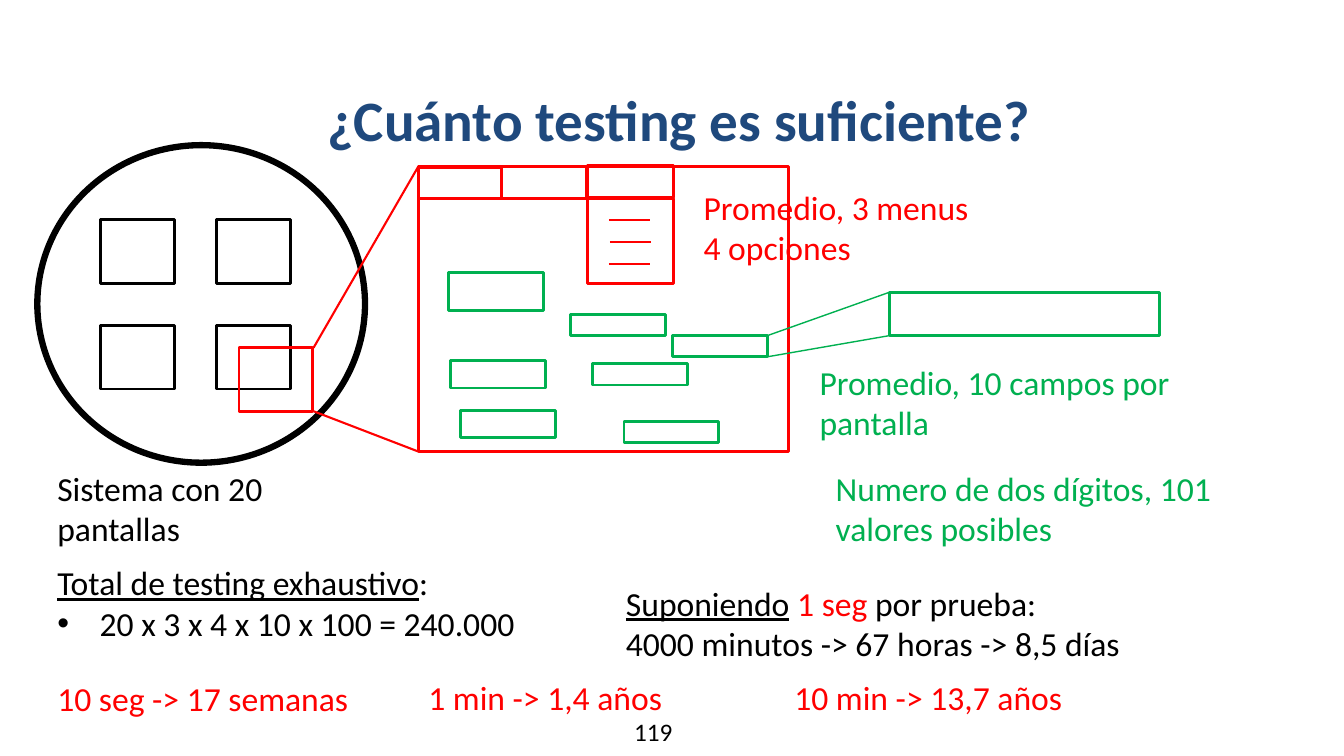
from lxml import etree
from pptx import Presentation
from pptx.dml.color import RGBColor
from pptx.enum.shapes import MSO_CONNECTOR, MSO_SHAPE
from pptx.enum.text import MSO_ANCHOR, MSO_AUTO_SIZE, PP_ALIGN
from pptx.oxml.ns import qn
from pptx.util import Inches, Pt

RECT = MSO_SHAPE.RECTANGLE
OVAL = MSO_SHAPE.OVAL
STRAIGHT = MSO_CONNECTOR.STRAIGHT
CENTER = PP_ALIGN.CENTER
TOP = MSO_ANCHOR.TOP
NO_FIT = MSO_AUTO_SIZE.NONE

FONT = "Calibri"
COLORS = {"black": "000000", "red": "FF0000", "green": "00B050", "navy": "1F497D"}
SCREEN_W, SCREEN_H = 0.73, 0.63
FIELD_W = 0.94


def rgb(color):
    return RGBColor.from_string(COLORS[color])


def style_font(font, size, color):
    font.name = FONT
    font.size = Pt(size)
    font.color.rgb = rgb(color)


def add_title(slide, text):
    title = slide.shapes.title
    title.left, title.top = Inches(0.24), Inches(0.84)
    title.width, title.height = Inches(13.12), Inches(0.47)
    frame = title.text_frame
    frame.text = text
    frame.auto_size = NO_FIT
    frame.vertical_anchor = TOP
    frame.margin_left = frame.margin_right = 0
    frame.margin_top = frame.margin_bottom = 0
    frame.paragraphs[0].alignment = CENTER
    font = frame.paragraphs[0].runs[0].font
    style_font(font, 40.8, "navy")
    font.bold = True


def add_outline(slide, x, y, w, h, color, weight=2, kind=RECT):
    outline = slide.shapes.add_shape(kind, Inches(x), Inches(y), Inches(w), Inches(h))
    outline.shadow.inherit = False
    outline.fill.background()
    outline.line.color.rgb = rgb(color)
    outline.line.width = Pt(weight)


def add_line(slide, x1, y1, x2, y2, color, weight=1.5):
    line = slide.shapes.add_connector(
        STRAIGHT, Inches(x1), Inches(y1), Inches(x2), Inches(y2))
    line.line.color.rgb = rgb(color)
    line.line.width = Pt(weight)
    etree.SubElement(line._element.spPr, qn("a:effectLst"))


def add_text(slide, x, y, w, h, paragraphs, color="black", size=24, wrap=True):
    """Each paragraph is a string or a list of (text, color, underline) runs."""
    box = slide.shapes.add_textbox(Inches(x), Inches(y), Inches(w), Inches(h))
    frame = box.text_frame
    frame.word_wrap = wrap
    for index, content in enumerate(paragraphs):
        paragraph = frame.paragraphs[0] if index == 0 else frame.add_paragraph()
        runs = [(content, color, False)] if isinstance(content, str) else content
        for text, run_color, underline in runs:
            run = paragraph.add_run()
            run.text = text
            style_font(run.font, size, run_color)
            run.font.underline = underline
    return frame


def add_bullet(paragraph, indent):
    props = paragraph._p.get_or_add_pPr()
    props.set("marL", str(Inches(indent)))
    props.set("indent", str(-Inches(indent)))
    etree.SubElement(props, qn("a:buFont")).set("typeface", "Arial")
    etree.SubElement(props, qn("a:buChar")).set("char", "•")


def add_system(slide):
    add_outline(slide, 0.37, 1.44, 3.25, 3.15, "black", 4.5, OVAL)
    for y in (2.18, 3.23):
        for x in (1, 2.15):
            add_outline(slide, x, y, SCREEN_W, SCREEN_H, "black")
    add_text(slide, 0.47, 4.59, 2.64, 0.91, ["Sistema con 20 pantallas"])


def add_screen(slide):
    # Selected screen and its enlargement
    add_outline(slide, 2.37, 3.45, SCREEN_W, SCREEN_H, "red")
    add_outline(slide, 4.15, 1.65, 3.67, 2.83, "red")
    add_line(slide, 3.11, 3.45, 4.15, 1.65, "red")
    add_line(slide, 3.11, 4.08, 4.15, 4.48, "red")

    # Menu bar and open menu with its options
    for x, y, w, h in ((4.15, 1.66, 0.83, 0.31), (4.97, 1.65, 0.85, 0.32),
                       (5.83, 1.64, 0.85, 0.32), (5.83, 1.97, 0.85, 0.84)):
        add_outline(slide, x, y, w, h, "red")
    for x, y in ((6.04, 2.18), (6.05, 2.4), (6.04, 2.62)):
        add_line(slide, x, y, x + 0.41, y, "red")
    add_text(slide, 6.88, 1.8, 3.88, 0.91,
             ["Promedio, 3 menus", "4 opciones"], "red")


def add_fields(slide):
    for x, y, h in ((4.45, 2.7, 0.38), (4.47, 3.58, 0.27), (4.57, 4.07, 0.27),
                    (5.66, 3.12, 0.21), (5.88, 3.61, 0.21),
                    (6.19, 4.18, 0.21), (6.67, 3.33, 0.21)):
        add_outline(slide, x, y, FIELD_W, h, "green")

    # Enlarged field
    add_outline(slide, 8.82, 2.9, 2.68, 0.43, "green")
    add_line(slide, 7.61, 3.33, 8.82, 2.9, "green", 1)
    add_line(slide, 7.61, 3.54, 8.82, 3.33, "green", 1)
    add_text(slide, 8.03, 3.54, 4.83, 0.5,
             ["Promedio, 10 campos por pantalla"], "green")
    add_text(slide, 8.19, 4.59, 4.83, 0.91,
             ["Numero de dos dígitos, 101 valores posibles"], "green")


def add_totals(slide):
    total = add_text(slide, 0.47, 5.53, 10.14, 0.91, [
        [("Total de testing exhaustivo", "black", True), (":", "black", False)],
        "20 x 3 x 4 x 10 x 100 = 240.000"])
    add_bullet(total.paragraphs[1], 0.42)
    add_text(slide, 6.11, 5.73, 5.21, 0.91, [
        [("Suponiendo", "black", True), (" ", "black", False),
         ("1 seg ", "red", False), ("por prueba:", "black", False)],
        "4000 minutos -> 67 horas -> 8,5 días"], wrap=False)
    for x, y, w, duration in ((0.47, 6.68, 3.11, "10 seg -> 17 semanas"),
                              (4.15, 6.67, 2.54, "1 min -> 1,4 años"),
                              (7.78, 6.67, 2.88, "10 min -> 13,7 años")):
        add_text(slide, x, y, w, 0.5, [duration], "red", wrap=False)


def main():
    deck = Presentation()
    deck.slide_width, deck.slide_height = Inches(13.33), Inches(7.5)
    slide = deck.slides.add_slide(deck.slide_layouts[5])

    # Page number and title
    add_text(slide, 6.19, 7.06, 0.64, 0.4, ["119"], size=18, wrap=False)
    add_title(slide, "¿Cuánto testing es suficiente? ")

    # Diagram: system, screen, fields
    add_system(slide)
    add_screen(slide)
    add_fields(slide)

    # Effort estimates
    add_totals(slide)
    deck.save("out.pptx")


if __name__ == "__main__":
    main()
